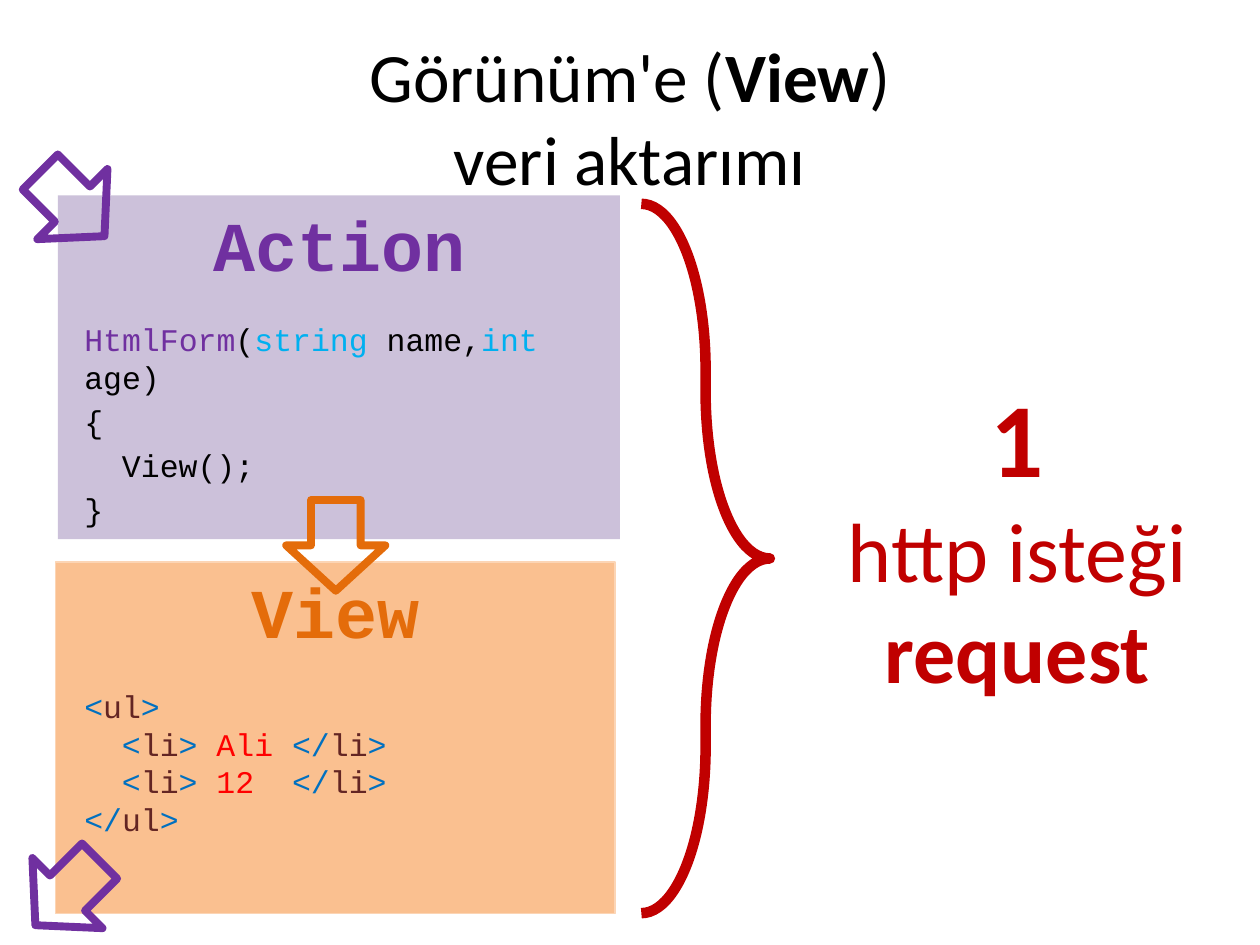
from pptx import Presentation
from pptx.dml.color import RGBColor as RGB
from pptx.enum.shapes import MSO_SHAPE as Shape
from pptx.enum.text import MSO_ANCHOR as Anchor, PP_ALIGN as Align
from pptx.util import Cm, Pt

BLACK = RGB(0x00, 0x00, 0x00)
PURPLE = RGB(0x70, 0x30, 0xA0)
LILAC = RGB(0xCC, 0xC1, 0xDA)
ORANGE = RGB(0xE4, 0x6C, 0x0A)
PEACH = RGB(0xFA, 0xC0, 0x90)
CREAM = RGB(0xFC, 0xD5, 0xB5)
CYAN = RGB(0x00, 0xB0, 0xF0)
BLUE = RGB(0x00, 0x70, 0xC0)
BROWN = RGB(0x63, 0x25, 0x23)
RED = RGB(0xFF, 0x00, 0x00)
CRIMSON = RGB(0xC0, 0x00, 0x00)

SANS, MONO = "Calibri", "Courier New"
INDENT = Cm(0.76)  # two characters of code


def add_run(para, text, size, color, font=SANS, bold=False):
    run = para.add_run()
    run.text = text
    run.font.name = font
    run.font.size = Pt(size)
    run.font.bold = bold
    run.font.color.rgb = color


def add_text(slide, box, wrap=True, anchor=Anchor.TOP):
    frame = slide.shapes.add_textbox(*map(Cm, box)).text_frame
    frame.word_wrap = wrap
    frame.vertical_anchor = anchor
    return frame


def next_para(frame, first):
    return frame.paragraphs[0] if first else frame.add_paragraph()


def add_shape(slide, kind, box, fill=None, line=None, width=0.75):
    shape = slide.shapes.add_shape(kind, *map(Cm, box))
    shape.shadow.inherit = False
    if fill is None:
        shape.fill.background()
    else:
        shape.fill.solid()
        shape.fill.fore_color.rgb = fill
    if line is None:
        shape.line.fill.background()
    else:
        shape.line.color.rgb = line
        shape.line.width = Pt(width)
    return shape


def add_title(slide, box):
    para = add_text(slide, box, anchor=Anchor.MIDDLE).paragraphs[0]
    para.alignment = Align.CENTER
    add_run(para, "Görünüm'e (", 39.6, BLACK)
    add_run(para, "View", 39.6, BLACK, bold=True)
    add_run(para, ")", 39.6, BLACK)
    para.add_line_break()
    add_run(para, "veri aktarımı", 39.6, BLACK)


def add_panel(slide, box, name, color, fill, code, inset, gap=0, line=None):
    """Place a headed panel; code is a list of (indent level, runs)."""
    left, top, width, height = box
    panel = add_shape(slide, Shape.RECTANGLE, box, fill, line)
    frame = panel.text_frame
    frame.vertical_anchor = Anchor.TOP
    head = frame.paragraphs[0]
    head.alignment = Align.CENTER
    add_run(head, name, 40, color, MONO, True)

    body = add_text(slide, (left + inset, top + 2.39, width - 2 * inset, 3.6))
    for row, (level, runs) in enumerate(code):
        para = next_para(body, row == 0)
        para.space_before = Pt(gap)
        if level:
            props = para._p.get_or_add_pPr()
            props.set("marL", str(level * INDENT))
            props.set("indent", "0")
        for text, tone in runs:
            add_run(para, text, 18, tone, MONO)


def add_arrow(slide, left, top, color, turn=0):
    arrow = add_shape(slide, Shape.DOWN_ARROW, (left, top, 2, 1.83),
                      line=color, width=4.5)
    arrow.rotation = turn


def add_request(slide, box):
    """Place the brace and, to its right, the summary."""
    left, top, width, height = box
    brace = add_shape(slide, Shape.RIGHT_BRACE, (left, top, 2.59, height),
                      line=CRIMSON, width=6)
    brace.adjustments[0] = 1.294
    brace.adjustments[1] = 0.5
    frame = add_text(slide, (left + 3.86, top + 3.28, width - 3.86, 6.93), wrap=False)
    rows = [("1", 60, True), ("http isteği", 48, False), ("request", 48, True)]
    for row, (text, size, bold) in enumerate(rows):
        para = next_para(frame, row == 0)
        para.alignment = Align.CENTER
        add_run(para, text, size, CRIMSON, bold=bold)


def tag(name, mark="<"):
    return [(mark, BLUE), (name, BROWN), (">", BLUE)]


def item(text):
    return tag("li") + [(" ", BLUE), (text, RED)] + tag("li", "</")


def main():
    deck = Presentation()
    deck.slide_width, deck.slide_height = Cm(25.4), Cm(19.05)
    slide = deck.slides.add_slide(deck.slide_layouts[6])

    action = [
        (0, [("HtmlForm", PURPLE), ("(", BLACK), ("string ", CYAN),
             ("name,", BLACK), ("int ", CYAN), ("age)", BLACK)]),
        (0, [("{", BLACK)]),
        (1, [("View();", BLACK)]),
        (0, [("}", BLACK)]),
    ]
    view = [
        (0, tag("ul")),
        (1, item("Ali ")),
        (1, item("12  ")),
        (0, tag("ul", "</")),
    ]

    add_title(slide, (1.27, 0.76, 22.86, 3.18))
    add_panel(slide, (1.17, 3.94, 11.33, 6.93), "Action", PURPLE, LILAC,
              action, 0.28, gap=3.6)
    add_panel(slide, (1.12, 11.33, 11.28, 7.09), "View", ORANGE, PEACH,
              view, 0.33, line=CREAM)
    add_request(slide, (12.93, 4.11, 11.3, 14.3))
    add_arrow(slide, 5.77, 10.08, ORANGE)
    add_arrow(slide, 0.36, 17.09, PURPLE, 45)
    add_arrow(slide, 0.46, 3.2, PURPLE, 315)

    deck.save("out.pptx")


if __name__ == "__main__":
    main()
